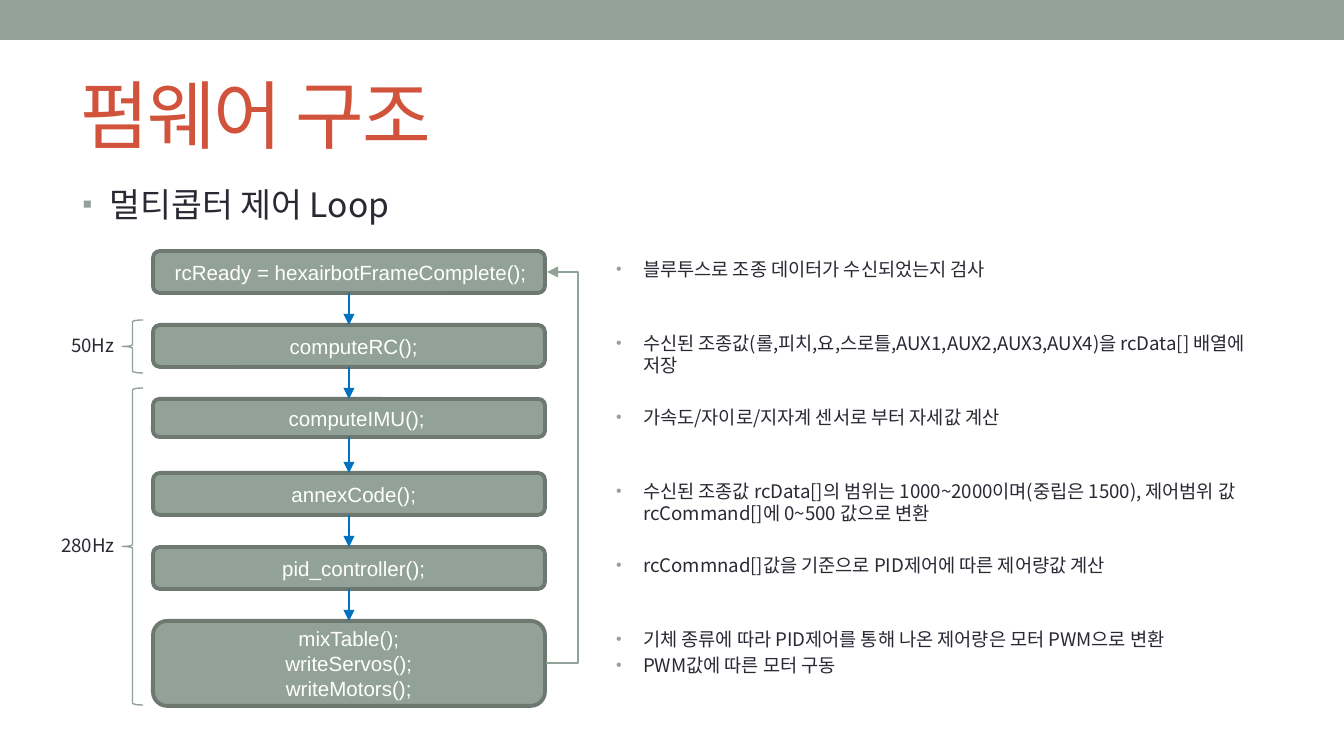
"""Build the firmware structure slide: the multicopter control loop as a flowchart."""
from itertools import pairwise

from lxml.etree import SubElement
from pptx import Presentation
from pptx.dml.color import RGBColor
from pptx.enum.shapes import MSO_CONNECTOR as Connector, MSO_SHAPE as Shape
from pptx.enum.text import MSO_ANCHOR as Anchor, MSO_AUTO_SIZE as AutoSize, PP_ALIGN as Align
from pptx.oxml.ns import qn
from pptx.util import Pt

SAGE = RGBColor(0x93, 0xA2, 0x99)
DARK_SAGE = RGBColor(0x6D, 0x78, 0x71)
BRICK = RGBColor(0xD2, 0x53, 0x3C)
INK = RGBColor(0x29, 0x29, 0x34)
BLUE = RGBColor(0x00, 0x70, 0xC0)
WHITE = RGBColor(0xFF, 0xFF, 0xFF)
KOREAN = "Noto Sans CJK KR"
PX = 914400 / 134.4

TITLE = "펌웨어 구조"
SUBTITLE = "멀티콥터 제어 Loop"
STEPS = [
    {"code": ["rcReady = hexairbotFrameComplete();"], "height": 42, "shift": 2,
     "notes": ["블루투스로 조종 데이터가 수신되었는지 검사"]},
    {"code": ["computeRC();"], "height": 42, "shift": 5,
     "notes": ["수신된 조종값(롤,피치,요,스로틀,AUX1,AUX2,AUX3,AUX4)을 rcData[] 배열에 저장"]},
    {"code": ["computeIMU();"], "height": 38, "shift": 8,
     "notes": ["가속도/자이로/지자계 센서로 부터 자세값 계산"]},
    {"code": ["annexCode();"], "height": 42, "shift": 5,
     "notes": ["수신된 조종값 rcData[]의 범위는 1000~2000이며(중립은 1500), "
               "제어범위 값 rcCommand[]에 0~500 값으로 변환"]},
    {"code": ["pid_controller();"], "height": 42, "shift": 5,
     "notes": ["rcCommnad[]값을 기준으로 PID제어에 따른 제어량값 계산"]},
    {"code": ["mixTable();", "writeServos();", "writeMotors();"], "height": 85, "shift": 0,
     "notes": ["기체 종류에 따라 PID제어를 통해 나온 제어량은 모터 PWM으로 변환",
               "PWM값에 따른 모터 구동"]},
]
RATES = [("50Hz", (58, 327), (320, 53)), ("280Hz", (48, 527), (388, 317))]

STEP_LEFT, STEP_TOP, STEP_WIDTH, STEP_PITCH = 153, 251, 392, 74
NOTE_LEFT, NOTE_WIDTH, NOTE_HEIGHT = 603, 692, 52
BRACE_LEFT, BRACE_WIDTH = 122, 21
INSET, LOOP_REACH, BULLET_INDENT = 13, 32, 27


def px(*lengths):
    return [round(length * PX) for length in lengths]


def write(frame, lines, size, color, font=KOREAN, align=Align.LEFT, bullet=None, spacing=0):
    frame.word_wrap = True
    for index, line in enumerate(lines):
        para = frame.add_paragraph() if index else frame.paragraphs[0]
        para.alignment = align
        para.space_before = Pt(spacing if index else 0)
        if bullet:
            add_bullet(para, bullet)
        span = para.add_run()
        span.text = line
        for name, value in {"name": font, "size": Pt(size)}.items():
            setattr(span.font, name, value)
        span.font.color.rgb = color
        SubElement(span.font._element, qn("a:ea"), typeface=font)


def add_bullet(para, symbol):
    props = para._p.get_or_add_pPr()
    indent, = px(BULLET_INDENT)
    props.set("marL", str(indent))
    props.set("indent", str(-indent))
    SubElement(SubElement(props, qn("a:buClr")), qn("a:srgbClr"), val=str(SAGE))
    SubElement(props, qn("a:buSzPct"), val="85000")
    SubElement(props, qn("a:buFont"), typeface="Arial")
    SubElement(props, qn("a:buChar"), char=symbol)


def place(holder, left, top, width, height):
    for name, value in zip(("left", "top", "width", "height"), px(left, top, width, height)):
        setattr(holder, name, value)


def add_shape(slide, kind, bounds, fill=None, line=None, weight=0.75):
    shape = slide.shapes.add_shape(kind, *px(*bounds))
    shape.shadow.inherit = False
    if fill is None:
        shape.fill.background()
    else:
        shape.fill.solid()
        shape.fill.fore_color.rgb = fill
    if line is None:
        shape.line.fill.background()
    else:
        shape.line.color.rgb = line
        shape.line.width = Pt(weight)
    return shape


def add_arrow(slide, kind, start, end, color):
    arrow = slide.shapes.add_connector(kind, *px(*start, *end))
    arrow.line.color.rgb = color
    arrow.line.width = Pt(0.75)
    SubElement(arrow.line._get_or_add_ln(), qn("a:tailEnd"), type="triangle")
    SubElement(arrow._element.spPr, qn("a:effectLst"))
    return arrow


def add_text(slide, bounds, lines, **style):
    box = slide.shapes.add_textbox(*px(*bounds))
    write(box.text_frame, lines, 10, INK, **style)
    return box


def add_headings(slide):
    title, body = slide.shapes.title, slide.placeholders[1]
    place(title, 67, 59, 1210, 109)
    place(body, 69, 177, 1207, 106)
    write(title.text_frame, [TITLE], 40, BRICK)
    title.text_frame.paragraphs[0].runs[0].font._element.set("spc", "-100")
    write(body.text_frame, [SUBTITLE], 18, INK, bullet="▪")
    for holder, anchor in ((title, Anchor.MIDDLE), (body, Anchor.TOP)):
        holder.text_frame.auto_size = AutoSize.NONE
        holder.text_frame.vertical_anchor = anchor


def add_steps(slide):
    spans = []
    for index, step in enumerate(STEPS):
        top = STEP_TOP + index * STEP_PITCH
        spans.append((top, top + step["height"]))
        box = add_shape(slide, Shape.ROUNDED_RECTANGLE,
                        (STEP_LEFT, top, STEP_WIDTH, step["height"]), SAGE, DARK_SAGE, 2.08)
        frame = box.text_frame
        frame.vertical_anchor = Anchor.MIDDLE
        frame.margin_left, = px(INSET + 2 * step["shift"])
        write(frame, step["code"], 11, WHITE, font="Arial", align=Align.CENTER)
        add_text(slide, (NOTE_LEFT, top, NOTE_WIDTH, NOTE_HEIGHT), step["notes"],
                 bullet="•", spacing=2)
    return spans


def add_flow(slide, spans):
    center, right = STEP_LEFT + STEP_WIDTH // 2, STEP_LEFT + STEP_WIDTH
    for (_, bottom), (top, _) in pairwise(spans):
        add_arrow(slide, Connector.STRAIGHT, (center, bottom), (center, top), BLUE)
    first, last = (sum(span) // 2 for span in (spans[0], spans[-1]))
    loop = add_arrow(slide, Connector.ELBOW, (right + 1, last), (right + 2, first), SAGE)
    guides = loop._element.spPr.find(qn("a:prstGeom")).get_or_add_avLst()
    SubElement(guides, qn("a:gd"), name="adj1", fmla=f"val {LOOP_REACH * 100000}")


def add_rates(slide):
    for rate, corner, (top, height) in RATES:
        label = add_text(slide, (*corner, 85, 36), [rate])
        label.text_frame.auto_size = AutoSize.SHAPE_TO_FIT_TEXT
        add_shape(slide, Shape.LEFT_BRACE, (BRACE_LEFT, top, BRACE_WIDTH, height), line=SAGE)


def main():
    deck = Presentation()
    deck.slide_width, deck.slide_height = px(1344, 756)
    slide = deck.slides.add_slide(deck.slide_layouts[1])
    add_shape(slide, Shape.RECTANGLE, (0, 0, 1344, 40), SAGE)
    add_headings(slide)
    add_flow(slide, add_steps(slide))
    add_rates(slide)
    deck.save("out.pptx")


if __name__ == "__main__":
    main()
